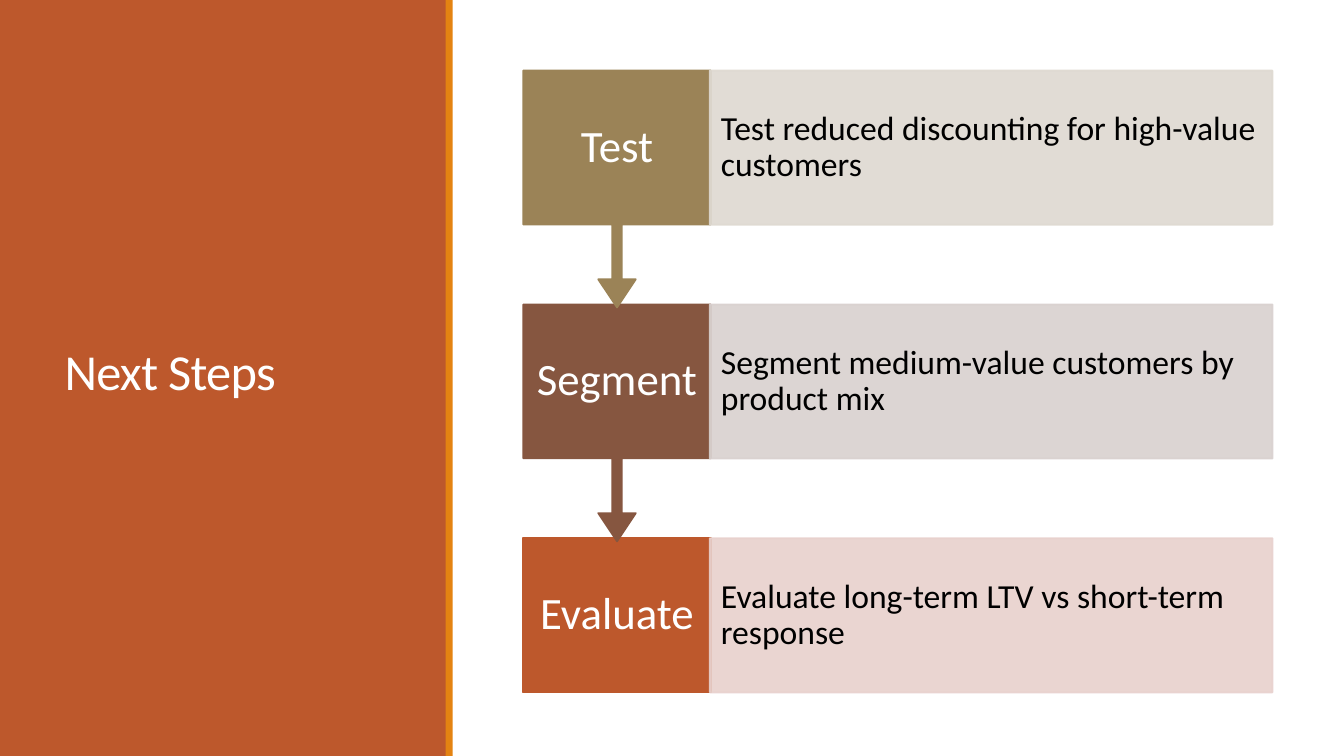
import lxml.etree
import pptx
import pptx.dml.color
import pptx.enum.shapes
import pptx.enum.text
import pptx.oxml.ns
import pptx.util

Inches = pptx.util.Inches
Shape = pptx.enum.shapes.MSO_SHAPE
Align = pptx.enum.text.PP_ALIGN
Anchor = pptx.enum.text.MSO_ANCHOR

THEME = {
    "font": "Calibri",
    "colors": {
        "panel": "BD582C", "accent": "E48312", "light": "FFFFFF", "dark": "000000",
        "test": "9B8357", "segment": "865640", "evaluate": "BD582C",
        "test_tint": "DED9D1", "segment_tint": "D9D1CF", "evaluate_tint": "E8D1CD",
    },
    "sizes": {"title": 36, "step": 32, "detail": 24},
}
TINT_ALPHA = "90000"
STEPS = [
    ("Test", "Test reduced discounting for high-value customers"),
    ("Segment", "Segment medium-value customers by product mix"),
    ("Evaluate", "Evaluate long-term LTV vs short-term response"),
]
STEP_LEFT, STEP_TOP, STEP_PITCH = 5.19, 0.7, 2.32
STEP_WIDTH, STEP_HEIGHT, CALLOUT_HEIGHT = 1.86, 1.53, 2.35
DETAIL_LEFT, DETAIL_WIDTH = 7.04, 5.58
CALLOUT_ADJUSTMENTS = (0.05, 0.1, 0.15, 0.65)


def add_filled_shape(kind, left, top, width, height, color, line_width=0):
    shape = slide.shapes.add_shape(
        kind, Inches(left), Inches(top), Inches(width), Inches(height))
    shape.shadow.inherit = False
    rgb = pptx.dml.color.RGBColor.from_string(THEME["colors"][color])
    shape.fill.solid()
    shape.fill.fore_color.rgb = rgb
    if line_width:
        shape.line.color.rgb = rgb
        shape.line.width = pptx.util.Pt(line_width)
    else:
        shape.line.fill.background()
    return shape


def write_text(shape, text, size, color, alignment, margin, line_spacing):
    frame = shape.text_frame
    frame_format = {
        "word_wrap": True, "vertical_anchor": Anchor.MIDDLE,
        "auto_size": pptx.enum.text.MSO_AUTO_SIZE.NONE,
        "margin_left": Inches(margin), "margin_right": Inches(margin),
    }
    paragraph = frame.paragraphs[0]
    run = paragraph.add_run()
    run.text = text
    paragraph_format = {"alignment": alignment, "line_spacing": line_spacing}
    font_format = {"name": THEME["font"], "size": pptx.util.Pt(THEME["sizes"][size])}
    for target, values in ((frame, frame_format), (paragraph, paragraph_format),
                           (run.font, font_format)):
        for name, value in values.items():
            setattr(target, name, value)
    run.font.color.rgb = pptx.dml.color.RGBColor.from_string(THEME["colors"][color])
    return run


presentation = pptx.Presentation()
presentation.slide_width = Inches(13.33)
presentation.slide_height = Inches(7.5)
slide = presentation.slides.add_slide(presentation.slide_layouts[5])

# Side panel with the title
panel = add_filled_shape(Shape.RECTANGLE, 0, 0, 4.43, 7.5, "panel")
add_filled_shape(Shape.RECTANGLE, 4.42, 0, 0.07, 7.5, "accent")
title = slide.shapes.title
title_place = {"left": 0.54, "top": 0.57, "width": 3.37, "height": 6.31}
for name, value in title_place.items():
    setattr(title, name, Inches(value))
title_run = write_text(title, "Next Steps", "title", "light", Align.LEFT, 0.1, 0.85)
title_run._r.get_or_add_rPr().set("spc", "-50")
slide.shapes._spTree.remove(title._element)
slide.shapes._spTree.append(title._element)

# Steps from last to first, so that each arrow tip lies over the next box
for index, (step, detail) in reversed(list(enumerate(STEPS))):
    top = STEP_TOP + index * STEP_PITCH
    is_last = index == len(STEPS) - 1
    step_box = add_filled_shape(
        Shape.RECTANGLE if is_last else Shape.DOWN_ARROW_CALLOUT,
        STEP_LEFT, top, STEP_WIDTH, STEP_HEIGHT if is_last else CALLOUT_HEIGHT,
        step.lower(), 1.25)
    if not is_last:
        for position, value in enumerate(CALLOUT_ADJUSTMENTS):
            step_box.adjustments[position] = value
    write_text(step_box, step, "step", "light", Align.CENTER, 0.1, 0.9)

    detail_box = add_filled_shape(Shape.RECTANGLE, DETAIL_LEFT, top, DETAIL_WIDTH,
                                  STEP_HEIGHT, step.lower() + "_tint", 1.25)
    for color in detail_box._element.spPr.iter(pptx.oxml.ns.qn("a:srgbClr")):
        lxml.etree.SubElement(color, pptx.oxml.ns.qn("a:alpha"), val=TINT_ALPHA)
    write_text(detail_box, detail, "detail", "dark", Align.LEFT, 0.11, 0.9)

presentation.save("out.pptx")
